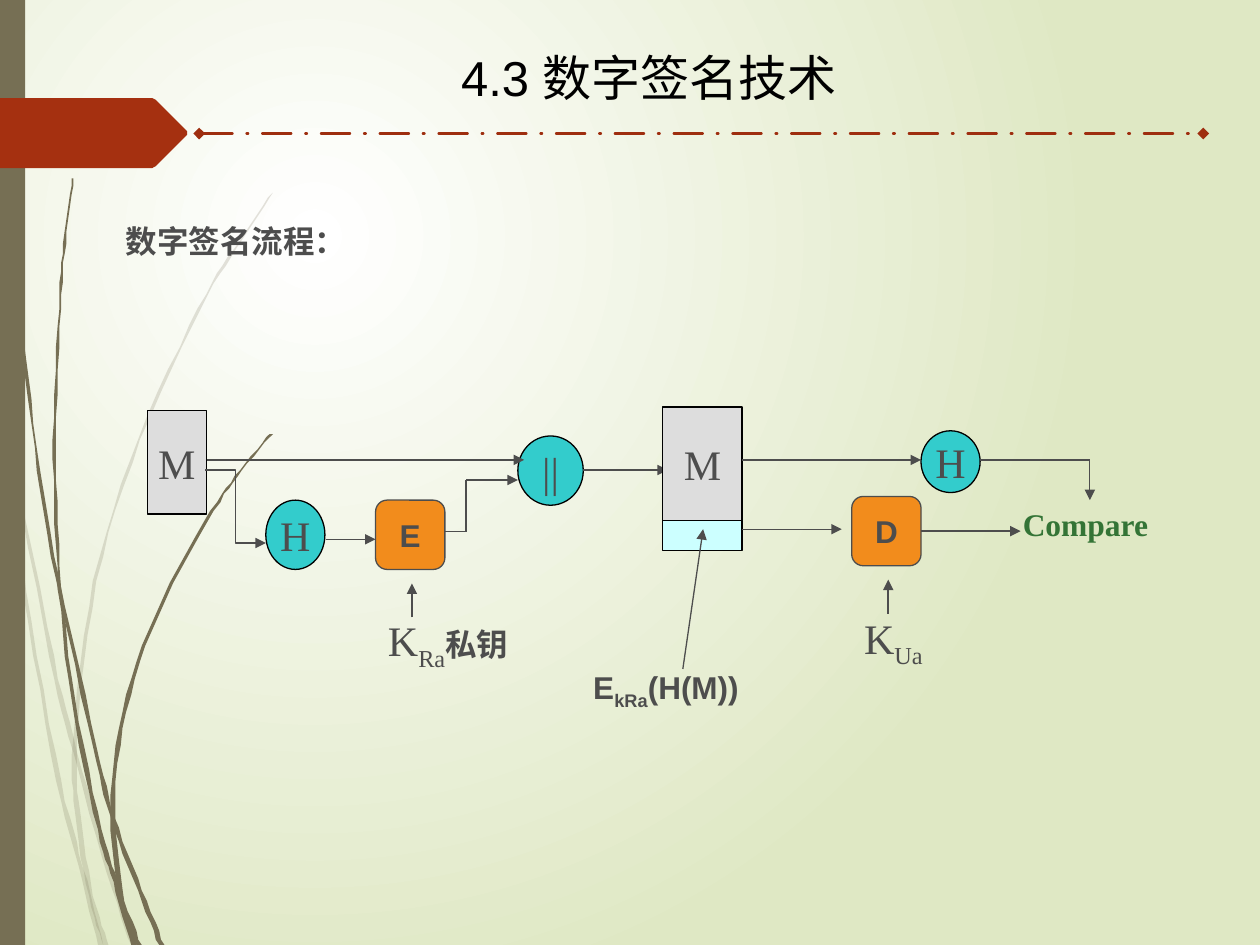
import pptx
import pptx.util
import pptx.dml.color
import pptx.enum.shapes
import pptx.enum.dml
import pptx.enum.text
import pptx.oxml
import pptx.oxml.ns

Pt = pptx.util.Pt
RGBColor = pptx.dml.color.RGBColor
SHAPE = pptx.enum.shapes.MSO_SHAPE
CONNECTOR = pptx.enum.shapes.MSO_CONNECTOR
ALIGN = pptx.enum.text.PP_ALIGN
ANCHOR = pptx.enum.text.MSO_ANCHOR
FIT = pptx.enum.text.MSO_AUTO_SIZE
qn = pptx.oxml.ns.qn

WHITE = RGBColor(0xFF, 0xFF, 0xFF)
PALE_GREEN = RGBColor(0xDF, 0xE8, 0xC4)
OLIVE = RGBColor(0x76, 0x6F, 0x54)
RUST = RGBColor(0xA5, 0x30, 0x10)
DARK_RUST = RGBColor(0x9E, 0x2E, 0x0F)
BLACK = RGBColor(0, 0, 0)
INK = RGBColor(0x4D, 0x4D, 0x4D)
GRAY = RGBColor(0xDD, 0xDD, 0xDD)
TEAL = RGBColor(0x33, 0xCC, 0xCC)
ORANGE = RGBColor(0xF2, 0x8C, 0x1C)
PALE_CYAN = RGBColor(0xCC, 0xFF, 0xFF)
GREEN = RGBColor(0x34, 0x74, 0x36)

PAGE_WIDTH, PAGE_HEIGHT, BAR_WIDTH = 720, 540, 14.4
RULE_Y = 76.3
TITLE_PLACE = (256.3, 23.8, 244.1, 41)
TITLE_TAG = [(107.3, 77), (89.3, 95), (87.1, 96), (0, 96), (0, 56.2), (87.1, 56.2),
             (89.3, 57), (107.3, 75)]

FAINT_STEMS = [
    [(0, 209), (5.4, 252), (29.5, 375), (43, 430), (62.5, 499), (76.3, 540)],
    [(5.8, 252), (14.4, 338), (33.5, 446), (46, 495), (57.6, 540)],
    [(156, 110), (134.3, 142), (114, 176), (79.6, 251), (54.4, 332), (43, 421),
     (44.3, 465), (52, 512), (60.5, 540)],
]
DARK_STEMS = [
    [(1.8, 0), (4, 79), (10.4, 168), (20.5, 256), (33, 331), (54, 425.5), (64, 466),
     (80, 509), (92.2, 540)],
    [(41.8, 101.5), (37, 139), (34.2, 176), (31.3, 251), (33.5, 324), (41.8, 400),
     (56.9, 474), (66, 504), (76.7, 540)],
    [(155.2, 247.7), (137.5, 269), (121.3, 292), (93.6, 342), (73.4, 397), (64.4, 455),
     (68.5, 508), (79.2, 540)],
]
STEM_WIDTHS = (0.4, 3)
STEM_STEPS = 6

SERIF, SANS = "Times New Roman", "Arial"
BIG_SERIF = (24, SERIF, INK, False)
BOLD_SANS = (18, SANS, INK, True)
BOLD_GREEN = (18, SERIF, GREEN, True)
TITLE_FONT = (28, SANS, BLACK, False)

STYLES = {
    "message": (SHAPE.RECTANGLE, GRAY, BLACK, BIG_SERIF),
    "circle": (SHAPE.OVAL, TEAL, BLACK, BIG_SERIF),
    "cipher": (SHAPE.ROUNDED_RECTANGLE, ORANGE, INK, BOLD_SANS),
    "signature": (SHAPE.RECTANGLE, PALE_CYAN, BLACK, BOLD_SANS),
}
MESSAGE_Y, JOIN_Y, CHECK_Y = 262.8, 268.6, 302.4
ENCRYPT_Y, SIGNED_Y, COMPARE_Y = 303.8, 274.3, 303.5
STEP_X, COMPARE_X = 266.4, 622.8
PACKET_LEFT, PACKET_WIDTH = 378.7, 45.4
PACKET_RIGHT = PACKET_LEFT + PACKET_WIDTH
CIPHER = 39.6

SENDER_NODES = {
    "message": ("message", "M", (84.2, 234.7, 33.8, 59)),
    "hash": ("circle", "H", (151.9, 285.8, 33.8, 39.6)),
    "join": ("circle", "||", (295.9, 249.1, 37.4, 39.6)),
    "encrypt": ("cipher", "E", (214.6, 285.8, CIPHER, CIPHER)),
}
SENDER_LINES = [
    ((118.1, MESSAGE_Y), (299.5, MESSAGE_Y), 1, True),
    ((254.2, ENCRYPT_Y), (STEP_X, ENCRYPT_Y), 1, False),
    ((STEP_X, ENCRYPT_Y), (STEP_X, SIGNED_Y), 1, False),
    ((STEP_X, SIGNED_Y), (295.9, SIGNED_Y), 1, True),
    ((333.4, JOIN_Y), (381.6, JOIN_Y), 1, True),
    ((186.5, 308.2), (214.6, 308.2), 0.75, True),
    ((235.4, 352.8), (235.4, 333.4), 1, True),
]
RECEIVER_NODES = {
    "received": ("message", "M", (PACKET_LEFT, 232.6, PACKET_WIDTH, 64.8)),
    "signature": ("signature", "", (PACKET_LEFT, 297.4, PACKET_WIDTH, 17.3)),
    "rehash": ("circle", "H", (526.3, 246.2, 33.8, 35.3)),
    "decrypt": ("cipher", "D", (486.7, 283.7, CIPHER, CIPHER)),
}
RECEIVER_LINES = [
    ((PACKET_RIGHT, MESSAGE_Y), (526.3, MESSAGE_Y), 0.75, True),
    ((560.2, MESSAGE_Y), (COMPARE_X, MESSAGE_Y), 0.75, False),
    ((COMPARE_X, MESSAGE_Y), (COMPARE_X, 285.8), 0.75, True),
    ((PACKET_RIGHT, CHECK_Y), (481, CHECK_Y), 0.75, True),
    ((390.2, 382.3), (401.8, CHECK_Y), 0.75, True),
    ((507.6, 350.6), (507.6, 331.2), 1, True),
]

LABELS = [
    ((577.4, 285.1, 86.4, 28.8), [("Compare", BOLD_GREEN)]),
    ((331.9, 378, 100.1, 28.8),
     [("E", BOLD_SANS), ("kRa", BOLD_SANS, True), ("(H(M))", BOLD_SANS)]),
    ((214.6, 347.8, 85.7, 36),
     [("K", BIG_SERIF), ("Ra", BIG_SERIF, True), ("私钥", BOLD_SANS)]),
    ((486.7, 346.3, 50.4, 36), [("K", BIG_SERIF), ("Ua", BIG_SERIF, True)]),
    ((64.8, 123.1, 136.1, 28.8), [("数字签名流程：", BOLD_SANS)]),
]

deck = pptx.Presentation()
deck.slide_width, deck.slide_height = Pt(PAGE_WIDTH), Pt(PAGE_HEIGHT)
page = deck.slides.add_slide(deck.slide_layouts[5])


def paint_background():
    fill = page.background.fill
    fill.gradient()
    for stop, color in zip(fill.gradient_stops, (WHITE, PALE_GREEN)):
        stop.color.rgb = color
    gradient = page._element.find(".//" + qn("a:gradFill"))
    gradient.remove(gradient.find(qn("a:lin")))
    gradient.append(pptx.oxml.parse_xml(
        f'<a:path {pptx.oxml.ns.nsdecls("a")} path="circle">'
        '<a:fillToRect l="50000" t="50000" r="100000" b="100000"/></a:path>'))


def paint(shape, color, outline=None, opacity=None):
    shape.shadow.inherit = False
    shape.fill.solid()
    shape.fill.fore_color.rgb = color
    if opacity:
        tint = shape._element.spPr.find(".//" + qn("a:srgbClr"))
        tint.append(tint.makeelement(qn("a:alpha"), {"val": str(opacity * 1000)}))
    if outline is None:
        shape.line.fill.background()
    else:
        shape.line.color.rgb, shape.line.width = outline, Pt(0.75)


def add_outline(points, color, opacity=None):
    builder = page.shapes.build_freeform(*points[0], scale=Pt(1))
    builder.add_line_segments(points[1:], close=True)
    paint(builder.convert_to_shape(), color, opacity=opacity)


def smooth(anchors):
    padded = [anchors[0], *anchors, anchors[-1]]
    curve = []
    for before, start, end, after in zip(padded, padded[1:], padded[2:], padded[3:]):
        for step in range(STEM_STEPS):
            t = step / STEM_STEPS
            curve.append(tuple(
                b + t * (c - a) / 2 + t**2 * (a - 2.5 * b + 2 * c - d / 2)
                + t**3 * (1.5 * (b - c) + (d - a) / 2)
                for a, b, c, d in zip(before, start, end, after)))
    return curve + [anchors[-1]]


def add_stem(anchors, opacity=None):
    curve = smooth(anchors)
    thin, thick = STEM_WIDTHS
    halves = [(thin + (thick - thin) * y / PAGE_HEIGHT) / 2 for x, y in curve]
    left = [(x - half, y) for (x, y), half in zip(curve, halves)]
    right = [(x + half, y) for (x, y), half in zip(curve, halves)]
    add_outline(left + right[::-1], OLIVE, opacity)


def add_span(para, text, font, lowered=False):
    span = para.add_run()
    span.text = text
    size, span.font.name, span.font.color.rgb, span.font.bold = font
    span.font.size = Pt(size)
    if lowered:
        span._r.get_or_add_rPr().set("baseline", "-25000")


def fill_text(box, spans, wrap=True, anchor=ANCHOR.TOP, align=ALIGN.LEFT):
    frame = box.text_frame
    frame.word_wrap, frame.vertical_anchor, frame.auto_size = wrap, anchor, FIT.NONE
    para = frame.paragraphs[0]
    para.alignment = align
    for span in spans:
        add_span(para, *span)


def add_node(style, text, place):
    preset, color, outline, font = STYLES[style]
    node = page.shapes.add_shape(preset, *map(Pt, place))
    paint(node, color, outline)
    if text:
        fill_text(node, [(text, font)], False, ANCHOR.MIDDLE, ALIGN.CENTER)
    return node


def add_line(start, end, width, arrow=True, kind=CONNECTOR.STRAIGHT):
    line = page.shapes.add_connector(kind, *map(Pt, start + end))
    line.line.color.rgb, line.line.width = INK, Pt(width)
    if arrow:
        add_end(line, "a:tailEnd", "triangle")
    properties = line._element.spPr
    properties.append(properties.makeelement(qn("a:effectLst")))
    return line


def add_end(line, tag, style):
    stroke = line.line._get_or_add_ln()
    stroke.append(stroke.makeelement(qn(tag), {"type": style}))


def add_title_rule():
    rule = add_line((113.8, RULE_Y), (687.6, RULE_Y), 2.25, arrow=False)
    rule.line.color.rgb = DARK_RUST
    rule.line.dash_style = pptx.enum.dml.MSO_LINE.LONG_DASH_DOT
    rule.line._get_or_add_ln().set("cap", "rnd")
    for tag in ("a:headEnd", "a:tailEnd"):
        add_end(rule, tag, "diamond")


paint_background()
for stem in FAINT_STEMS:
    add_stem(stem, 20)
for stem in DARK_STEMS:
    add_stem(stem)
paint(page.shapes.add_shape(SHAPE.RECTANGLE, 0, 0, Pt(BAR_WIDTH), Pt(PAGE_HEIGHT)), OLIVE)
add_outline(TITLE_TAG, RUST)
add_title_rule()

title = page.shapes.title
title.left, title.top, title.width, title.height = map(Pt, TITLE_PLACE)
fill_text(title, [("4.3 数字签名技术", TITLE_FONT)])

nodes = {}
for side, lines in ((SENDER_NODES, SENDER_LINES), (RECEIVER_NODES, RECEIVER_LINES)):
    for name, node in side.items():
        nodes[name] = add_node(*node)
    for line in lines:
        add_line(*line)
add_line((117.4, JOIN_Y), (151.9, 310.3), 0.75, kind=CONNECTOR.ELBOW)
compare = add_line((526.3, COMPARE_Y), (583.2, COMPARE_Y), 0.75)
compare.begin_connect(nodes["decrypt"], 3)

for place, spans in LABELS:
    fill_text(page.shapes.add_textbox(*map(Pt, place)), spans)

deck.save("out.pptx")
